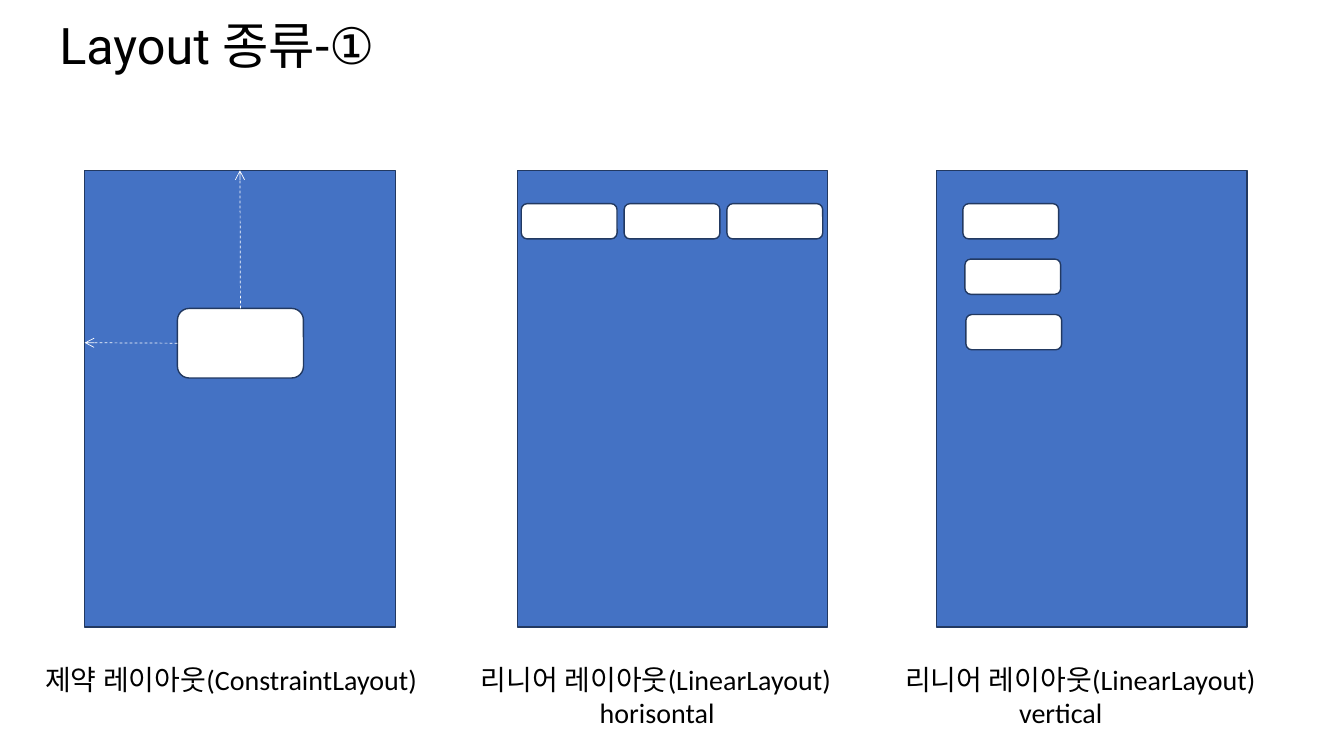
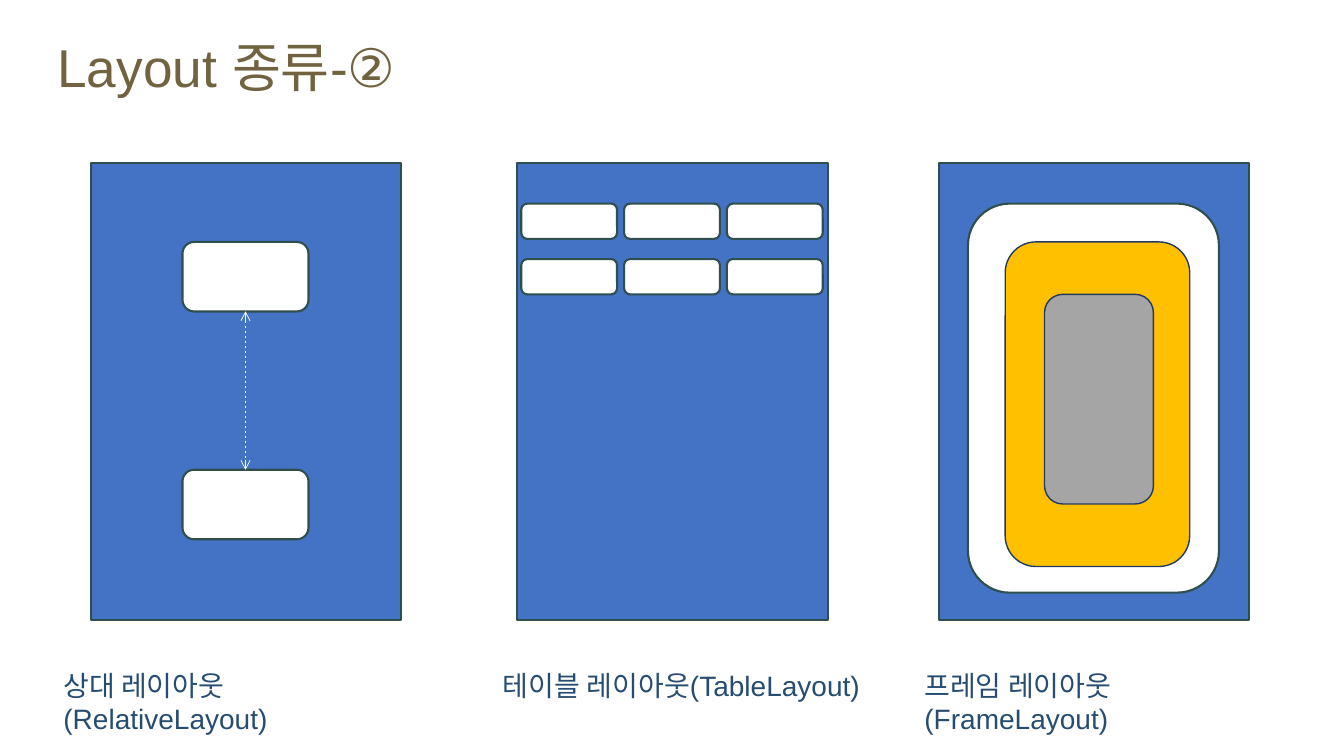
from dataclasses import dataclass

from lxml.etree import SubElement
from pptx import Presentation
from pptx.dml.color import RGBColor
from pptx.enum.dml import MSO_LINE
from pptx.enum.shapes import MSO_CONNECTOR, MSO_SHAPE
from pptx.enum.text import MSO_ANCHOR
from pptx.oxml.ns import qn
from pptx.util import Inches, Pt


@dataclass(frozen=True)
class SlideStyle:
    title_font: str
    title_size: int
    title_color: str
    title_spacing: float
    caption_font: str
    caption_color: str
    outline: tuple  # colour and width in points


@dataclass(frozen=True)
class Theme:
    panel: str = "4472C4"
    white: str = "FFFFFF"
    amber: str = "FFC000"
    gray: str = "A5A5A5"
    navy_outline: tuple = ("223961", 1)
    slate_outline: tuple = ("2F4F4F", 1.5)
    arrow_width: float = 0.5
    caption_size: int = 20

    def plain(self):
        return SlideStyle("Roboto", 36, "000000", 0.9,
                          "Calibri", "000000", self.navy_outline)

    def tinted(self):
        return SlideStyle("Arial", 38, "716340", 1.0,
                          "Arial", "264C72", self.slate_outline)


THEME = Theme()

# Shared measures in inches
PANEL_SIZE = (3.08, 4.53)
VIEW_SIZE = (1.25, 0.69)
BUTTON_SIZE = (0.95, 0.35)
BUTTON_LEFT, BUTTON_TOP = 5.17, 2.02
COLUMN_STEP, ROW_STEP = 1.02, 0.55


# Text
def add_text(slide, box, lines, font, size, color):
    frame = slide.shapes.add_textbox(*map(Inches, box)).text_frame
    frame.word_wrap = True
    frame.text = "\n".join(lines)
    for paragraph in frame.paragraphs:
        for run in paragraph.runs:
            run.font.name = font
            run.font.size = Pt(size)
            run.font.color.rgb = RGBColor.from_string(color)
    return frame


def add_title(slide, style, left, top, text):
    frame = add_text(slide, (left, top, 12.36, 1.03), [text],
                     style.title_font, style.title_size, style.title_color)
    frame.vertical_anchor = MSO_ANCHOR.MIDDLE
    frame.paragraphs[0].line_spacing = style.title_spacing


def add_caption(slide, style, box, text, direction=None, indent=0):
    lines = [text, direction] if direction else [text]
    frame = add_text(slide, box, lines, style.caption_font,
                     THEME.caption_size, style.caption_color)
    if direction:
        properties = frame.paragraphs[1]._p.get_or_add_pPr()
        properties.set("marL", str(Inches(indent)))


# Shapes
def add_block(slide, kind, box, fill, outline):
    block = slide.shapes.add_shape(kind, *map(Inches, box))
    block.shadow.inherit = False
    block.fill.solid()
    block.fill.fore_color.rgb = RGBColor.from_string(fill)
    color, width = outline
    block.line.color.rgb = RGBColor.from_string(color)
    block.line.width = Pt(width)
    return block


def add_panel(slide, style, left, top):
    return add_block(slide, MSO_SHAPE.RECTANGLE, (left, top, *PANEL_SIZE),
                     THEME.panel, style.outline)


def add_view(slide, style, left, top, size=VIEW_SIZE):
    return add_block(slide, MSO_SHAPE.ROUNDED_RECTANGLE, (left, top, *size),
                     THEME.white, style.outline)


def add_button_grid(slide, style, rows):
    for row in range(rows):
        for column in range(3):
            add_view(slide, style, BUTTON_LEFT + column * COLUMN_STEP,
                     BUTTON_TOP + row * ROW_STEP, BUTTON_SIZE)


# Dashed arrows
def add_arrow(slide, start, end, both_ends=False):
    arrow = slide.shapes.add_connector(
        MSO_CONNECTOR.STRAIGHT, *map(Inches, (*start, *end)))
    arrow.line.color.rgb = RGBColor.from_string(THEME.white)
    arrow.line.width = Pt(THEME.arrow_width)
    arrow.line.dash_style = MSO_LINE.DASH
    outline = arrow.line._get_or_add_ln()
    for tag in ("a:headEnd", "a:tailEnd") if both_ends else ("a:tailEnd",):
        SubElement(outline, qn(tag), type="arrow")
    SubElement(arrow._element.spPr, qn("a:effectLst"))
    return arrow


def build_linear_slide(slide):
    style = THEME.plain()
    add_title(slide, style, 0.49, -0.04, "Layout 종류-①")
    constraint, *_ = [add_panel(slide, style, left, 1.69)
                      for left in (0.84, 5.13, 9.29)]

    # Constraint layout: a view tied to the top and left edges
    view = add_view(slide, style, 1.76, 3.06)
    to_left = add_arrow(slide, (1.76, 3.4), (0.84, 3.4))
    to_left.begin_connect(view, 1)
    to_top = add_arrow(slide, (2.38, 3.06), (2.38, 1.69))
    to_top.begin_connect(view, 0)
    to_top.end_connect(constraint, 0)

    # Linear layouts: a row and a column
    add_button_grid(slide, style, rows=1)
    for row, left in enumerate((9.55, 9.57, 9.58)):
        add_view(slide, style, left, BUTTON_TOP + row * ROW_STEP, BUTTON_SIZE)

    add_caption(slide, style, (0.35, 6.52, 4.07, 0.43),
                "제약 레이아웃(ConstraintLayout)")
    for left, direction, indent in ((4.67, "horisontal", 1.18),
                                    (8.88, "vertical", 1.13)):
        add_caption(slide, style, (left, 6.52, 3.9, 0.76),
                    "리니어 레이아웃(LinearLayout)", direction, indent)


def build_relative_slide(slide):
    style = THEME.tinted()
    add_title(slide, style, 0.47, 0.14, "Layout 종류-②")
    for left in (0.9, 5.13, 9.31):
        add_panel(slide, style, left, 1.62)

    # Relative layout: two views placed by each other
    upper, lower = [add_view(slide, style, 1.81, top) for top in (2.4, 4.66)]
    between = add_arrow(slide, (2.44, 3.09), (2.44, 4.66), both_ends=True)
    between.begin_connect(upper, 2)
    between.end_connect(lower, 0)

    # Table layout
    add_button_grid(slide, style, rows=2)

    # Frame layout: stacked views
    for box, fill, outline in (
            ((9.6, 2.02, 2.49, 3.86), THEME.white, style.outline),
            ((9.97, 2.4, 1.83, 3.22), THEME.amber, THEME.navy_outline),
            ((10.36, 2.92, 1.08, 2.08), THEME.gray, THEME.navy_outline)):
        add_block(slide, MSO_SHAPE.ROUNDED_RECTANGLE, box, fill, outline)

    for left, width, text in (
            (0.53, 3.81, "상대 레이아웃(RelativeLayout)"),
            (4.89, 3.86, "테이블 레이아웃(TableLayout)"),
            (9.07, 3.76, "프레임 레이아웃(FrameLayout)")):
        add_caption(slide, style, (left, 6.58, width, 0.43), text)


def main():
    deck = Presentation()
    deck.slide_width, deck.slide_height = Inches(13.33), Inches(7.5)
    blank = deck.slide_layouts[6]
    for build in (build_linear_slide, build_relative_slide):
        build(deck.slides.add_slide(blank))
    deck.save("out.pptx")


if __name__ == "__main__":
    main()
